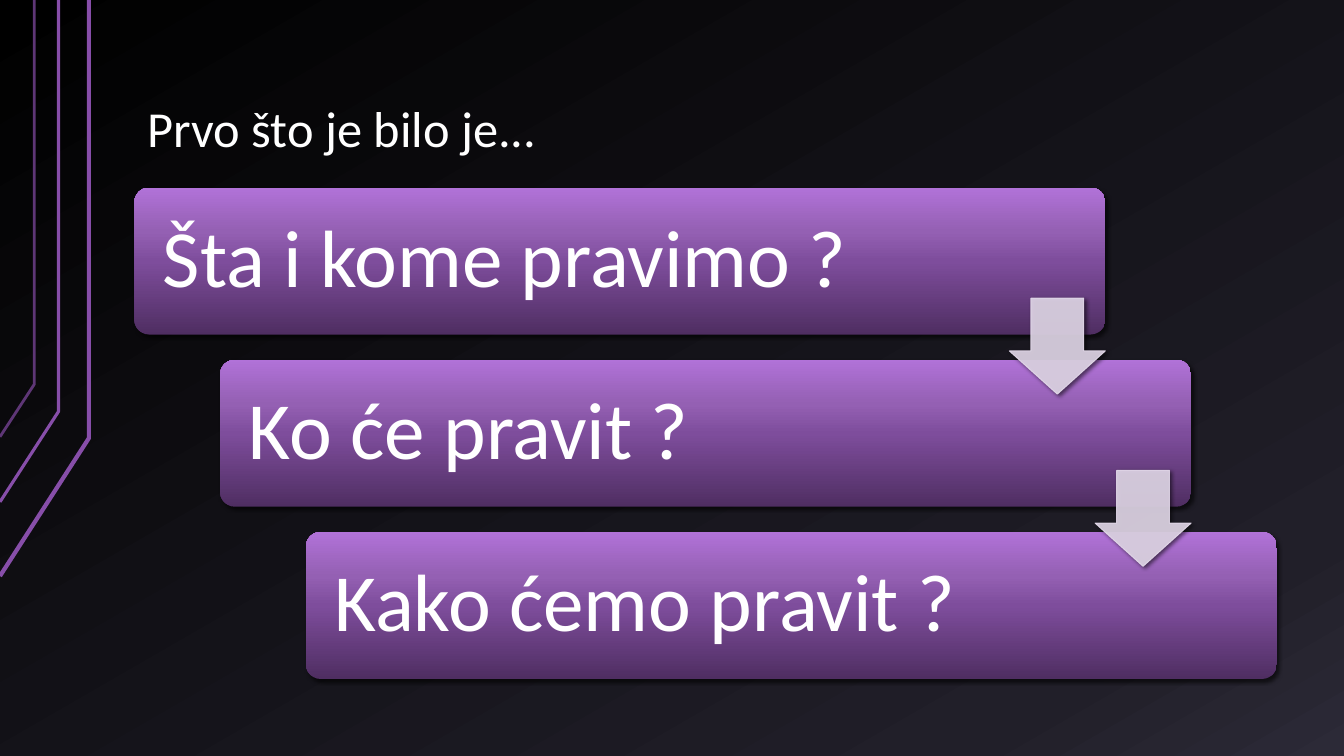
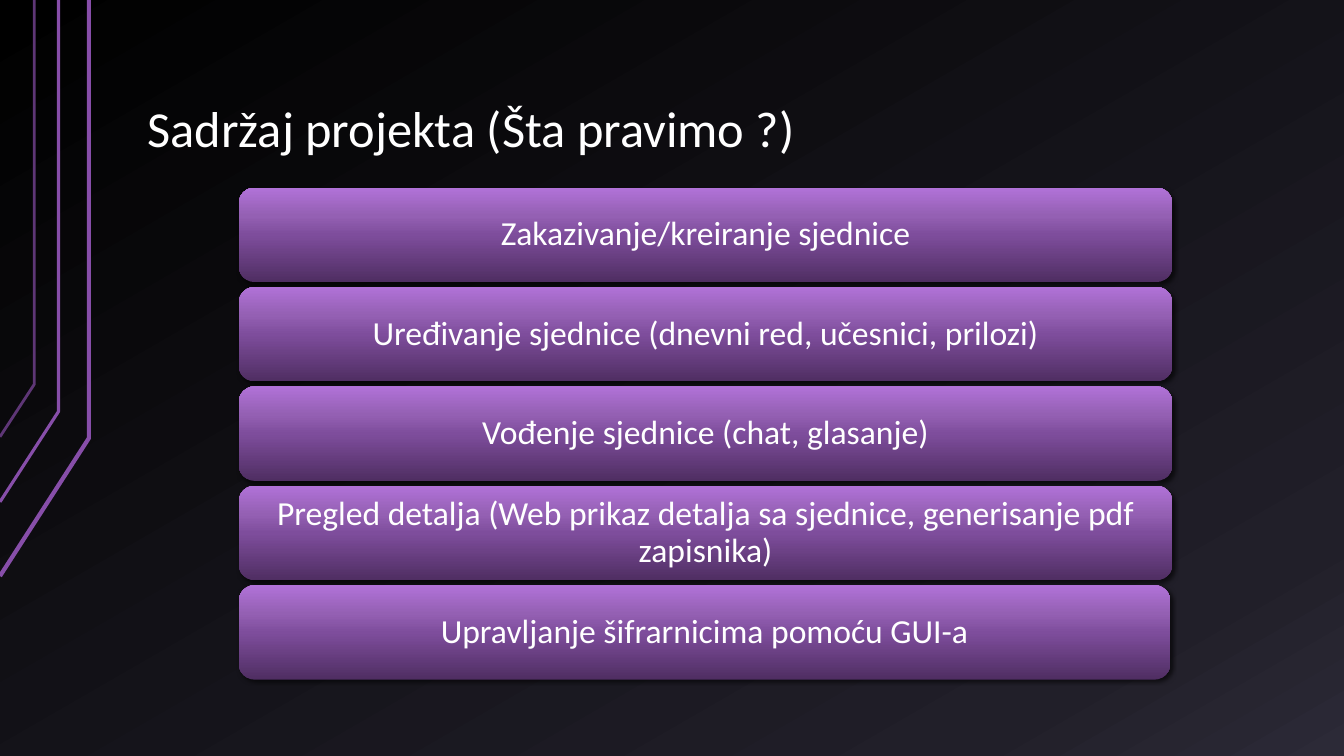
import lxml.etree
import pptx
import pptx.dml.color
import pptx.enum.shapes
import pptx.enum.text
import pptx.oxml.ns
import pptx.util

Pt = pptx.util.Pt
RGBColor = pptx.dml.color.RGBColor
SHAPE = pptx.enum.shapes.MSO_SHAPE
ANCHOR = pptx.enum.text.MSO_ANCHOR
ALIGN = pptx.enum.text.PP_ALIGN
qn = pptx.oxml.ns.qn
SubElement = lxml.etree.SubElement

# Shared colours and font
WHITE = RGBColor(0xFF, 0xFF, 0xFF)
BLACK = RGBColor(0x00, 0x00, 0x00)
VIOLET = RGBColor(0x87, 0x4E, 0xA9)
DIM_VIOLET = RGBColor(0x5E, 0x36, 0x76)
PALE_LILAC = RGBColor(0xE3, 0xD9, 0xEA)
FONT = "Calibri"
NIGHT_STOPS = [(0, BLACK), (85, RGBColor(0x21, 0x1F, 0x29)),
               (100, RGBColor(0x2C, 0x2A, 0x37))]
BOX_STOPS = [(0, RGBColor(0x4F, 0x2E, 0x62)), (50, RGBColor(0x7E, 0x4D, 0x9C)),
             (70, RGBColor(0x94, 0x60, 0xB3)), (100, RGBColor(0xB1, 0x72, 0xD8))]

# Bent lines at the left edge: x, bend y, end y at the edge, width, colour
EDGE_LINES = [(63.5, 313, 411.5, 3, VIOLET),
              (41.75, 294, 358.5, 2.25, VIOLET),
              (24.5, 274.5, 312, 2, DIM_VIOLET)]

TITLE_FORMAT = {"size": 36, "align": ALIGN.LEFT, "anchor": ANCHOR.BOTTOM,
                "margins": (9.36, 5.04)}

# Each slide: title, box texts, and the rule that places its boxes
SLIDES = [
    {"title": "Prvo što je bilo je...",
     "texts": ["Šta i kome pravimo ?", "Ko će pravit ?", "Kako ćemo pravit ?"],
     "left": 96, "top": 134, "step_x": 61.25, "step_y": 123,
     "widths": [693.5] * 3, "height": 105, "corner": 0.1, "arrows": True,
     "format": {"size": 58, "align": ALIGN.LEFT, "anchor": ANCHOR.MIDDLE,
                "margins": (17.28, 17.28)}},
    {"title": "Sadržaj projekta (Šta pravimo ?)",
     "texts": ["Zakazivanje/kreiranje sjednice",
               "Uređivanje sjednice (dnevni red, učesnici, prilozi)",
               "Vođenje sjednice (chat, glasanje)",
               "Pregled detalja (Web prikaz detalja sa sjednice, generisanje pdf zapisnika)",
               "Upravljanje šifrarnicima pomoću GUI-a"],
     "left": 170.5, "top": 134, "step_x": 0, "step_y": 71,
     "widths": [667] * 4 + [665.5], "height": 67.5, "corner": 0.17, "arrows": False,
     "format": {"size": 24, "align": ALIGN.CENTER, "anchor": ANCHOR.MIDDLE,
                "margins": (7.2, 3.6)}},
]
ARROW_SIZE = 68.5
ARROW_RISE = 26


def paint_gradient(fill, element, stops, angle):
    """Fill with any number of stops; angle runs counter-clockwise."""
    fill.gradient()
    fill.gradient_angle = angle
    stop_list = next(element.iter(qn("a:gsLst")))
    for old_stop in list(stop_list):
        stop_list.remove(old_stop)
    for position, colour in stops:
        stop = SubElement(stop_list, qn("a:gs"), pos=str(position * 1000))
        SubElement(stop, qn("a:srgbClr"), val=str(colour))


def write_text(shape, text, style):
    """Put one formatted paragraph into a shape."""
    frame = shape.text_frame
    side, edge = style["margins"]
    frame_format = {"word_wrap": True, "vertical_anchor": style["anchor"],
                    "margin_left": Pt(side), "margin_right": Pt(side),
                    "margin_top": Pt(edge), "margin_bottom": Pt(edge)}
    for name, value in frame_format.items():
        setattr(frame, name, value)
    para = frame.paragraphs[0]
    para.alignment = style["align"]
    para.line_spacing = 0.9
    span = para.add_run()
    span.text = text
    for name, value in {"name": FONT, "size": Pt(style["size"])}.items():
        setattr(span.font, name, value)
    span.font.color.rgb = WHITE


deck = pptx.Presentation()
deck.slide_width, deck.slide_height = Pt(960), Pt(540)

for content in SLIDES:
    page = deck.slides.add_slide(deck.slide_layouts[6])

    # Background and edge lines
    paint_gradient(page.background.fill, page.background._cSld, NIGHT_STOPS, 300)
    for x, bend, end, weight, colour in EDGE_LINES:
        builder = page.shapes.build_freeform(0, Pt(end))
        builder.add_line_segments([(Pt(x), Pt(bend)), (Pt(x), 0)], close=False)
        edge_line = builder.convert_to_shape()
        edge_line.shadow.inherit = False
        edge_line.fill.background()
        edge_line.line.color.rgb = colour
        edge_line.line.width = Pt(weight)

    # Title
    title = page.shapes.add_textbox(Pt(96), Pt(21.5), Pt(816), Pt(96.5))
    write_text(title, content["title"], TITLE_FORMAT)

    # Boxes
    shaded = []
    for index, (text, width) in enumerate(zip(content["texts"], content["widths"])):
        left = content["left"] + index * content["step_x"]
        top = content["top"] + index * content["step_y"]
        box = page.shapes.add_shape(SHAPE.ROUNDED_RECTANGLE, Pt(left), Pt(top),
                                    Pt(width), Pt(content["height"]))
        box.adjustments[0] = content["corner"]
        paint_gradient(box.fill, box._element.spPr, BOX_STOPS, 90)
        box.line.fill.background()
        write_text(box, text, content["format"])
        shaded.append(box)

    # Arrows from each box to the next, flush with the right side
    if content["arrows"]:
        for box in shaded[:-1]:
            arrow = page.shapes.add_shape(
                SHAPE.DOWN_ARROW, box.left + box.width - Pt(ARROW_SIZE),
                box.top + box.height - Pt(ARROW_RISE), Pt(ARROW_SIZE), Pt(ARROW_SIZE))
            arrow.adjustments[0], arrow.adjustments[1] = 0.55, 0.45
            arrow.fill.solid()
            arrow.fill.fore_color.rgb = PALE_LILAC
            arrow.line.color.rgb = PALE_LILAC
            arrow.line.width = Pt(0.75)
            for colour in arrow._element.spPr.iter(qn("a:srgbClr")):
                SubElement(colour, qn("a:alpha"), val="90000")
            shaded.append(arrow)

    # Soft shadow under boxes and arrows
    for shape in shaded:
        shape.shadow.inherit = False
        effects = shape._element.spPr.find(qn("a:effectLst"))
        shadow = SubElement(effects, qn("a:outerShdw"), blurRad=str(Pt(3)),
                            dist=str(Pt(2)), dir=str(45 * 60000), rotWithShape="0")
        shadow_colour = SubElement(shadow, qn("a:srgbClr"), val=str(BLACK))
        SubElement(shadow_colour, qn("a:alpha"), val="60000")

deck.save("out.pptx")
